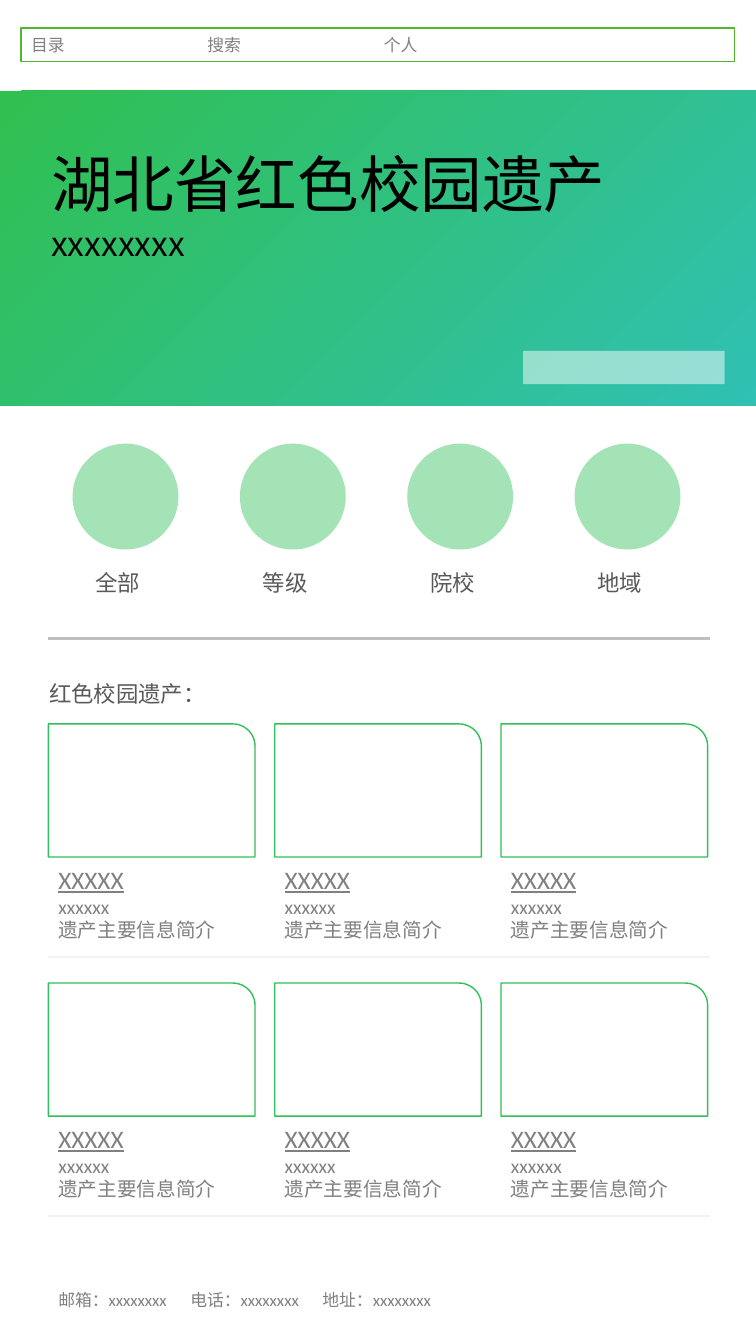
from lxml import etree
from pptx import Presentation
from pptx.dml.color import RGBColor
from pptx.enum.shapes import MSO_CONNECTOR, MSO_SHAPE
from pptx.enum.text import MSO_ANCHOR
from pptx.oxml.ns import qn
from pptx.util import Inches, Pt

RECTANGLE = MSO_SHAPE.RECTANGLE
OVAL = MSO_SHAPE.OVAL
CARD_SHAPE = MSO_SHAPE.ROUND_1_RECTANGLE
STRAIGHT = MSO_CONNECTOR.STRAIGHT
MIDDLE = MSO_ANCHOR.MIDDLE

BLACK = RGBColor(0x00, 0x00, 0x00)
WHITE = RGBColor(0xFF, 0xFF, 0xFF)
DARK_GRAY = RGBColor(0x59, 0x59, 0x59)
GRAY = RGBColor(0x80, 0x80, 0x80)
DIVIDER_GRAY = RGBColor(0xBF, 0xBF, 0xBF)
PALE_GRAY = RGBColor(0xF2, 0xF2, 0xF2)
GREEN = RGBColor(0x30, 0xC0, 0x59)
MENU_GREEN = RGBColor(0x50, 0xB8, 0x30)
BANNER_GREEN = RGBColor(0x30, 0xC0, 0x4F)
BANNER_TEAL = RGBColor(0x30, 0xC0, 0xB4)

FONT_JP = "Noto Sans CJK JP"
FONT_SC = "Noto Sans CJK SC"
FONT_LATIN = "Calibri"


def add_panel(slide, kind, left, top, width, height, fill=None, line=None, alpha=None):
    """Add a flat shape; alpha is the opacity of the fill in percent."""
    shape = slide.shapes.add_shape(
        kind, Inches(left), Inches(top), Inches(width), Inches(height))
    shape.shadow.inherit = False
    if fill is None:
        shape.fill.background()
    else:
        shape.fill.solid()
        shape.fill.fore_color.rgb = fill
    if alpha is not None:
        color = shape.fill._xPr.find(qn("a:solidFill"))[0]
        etree.SubElement(color, qn("a:alpha"), val=str(alpha * 1000))
    if line is None:
        shape.line.fill.background()
    else:
        shape.line.color.rgb = line
        shape.line.width = Pt(1)
    return shape


def set_font(font, name, size, color):
    font.name = name
    font.size = Pt(size)
    font.color.rgb = color
    if name != FONT_LATIN:
        etree.SubElement(font._element, qn("a:ea"), typeface=name)


def add_text(slide, left, top, width, height, text, font_name, size, color):
    """Add a one-paragraph text box and return its paragraph."""
    box = slide.shapes.add_textbox(
        Inches(left), Inches(top), Inches(width), Inches(height))
    frame = box.text_frame
    frame.word_wrap = True
    frame.vertical_anchor = MIDDLE
    paragraph = frame.paragraphs[0]
    paragraph.text = text
    set_font(paragraph.font, font_name, size, color)
    return paragraph


def add_tab_stops(paragraph, pitch, count):
    tabs = etree.Element(qn("a:tabLst"))
    for number in range(1, count + 1):
        etree.SubElement(tabs, qn("a:tab"), pos=str(Inches(pitch * number)), algn="l")
    paragraph.font._element.addprevious(tabs)


def add_rule(slide, left, top, width, color, weight):
    rule = slide.shapes.add_connector(
        STRAIGHT, Inches(left), Inches(top), Inches(left + width), Inches(top))
    rule.line.color.rgb = color
    rule.line.width = Pt(weight)
    etree.SubElement(rule.line._ln.getparent(), qn("a:effectLst"))


def add_menu(slide, left, top, width, height, items):
    add_panel(slide, RECTANGLE, left, top, width, height, line=MENU_GREEN)
    paragraph = add_text(
        slide, left, top, width, height, "\t".join(items), FONT_SC, 12, GRAY)
    add_tab_stops(paragraph, 1.75, len(items) - 1)


def add_banner(slide, left, top, width, height):
    background = add_panel(slide, RECTANGLE, left, top, width, height)
    background.fill.gradient()
    background.fill.gradient_angle = 315
    for stop, position, color in zip(
            background.fill.gradient_stops, (0, 1), (BANNER_GREEN, BANNER_TEAL)):
        stop.position = position
        stop.color.rgb = color
    add_text(slide, left + 0.41, top + 0.49, 6.3, 0.84,
             "湖北省红色校园遗产", FONT_JP, 44, BLACK)
    add_text(slide, left + 0.41, top + 1.26, 5.62, 0.5, "xxxxxxxx", FONT_JP, 24, BLACK)
    add_panel(slide, RECTANGLE, left + 5.19, top + 2.58, 2, 0.33, WHITE, alpha=50)


def add_categories(slide, left, top, labels):
    diameter, pitch = 1.05, 1.66
    for index, label in enumerate(labels):
        x = left + index * pitch
        add_panel(slide, OVAL, x, top, diameter, diameter, GREEN, alpha=44)
        add_text(slide, x + 0.13, top + 1.19, 0.78, 0.38, label, FONT_SC, 16, DARK_GRAY)


def add_card(slide, left, top, width):
    add_panel(slide, CARD_SHAPE, left, top, width, 1.32, WHITE, GREEN)
    title = add_text(slide, left, top + 1.34, width, 0.87, "XXXXX", FONT_LATIN, 18, GRAY)
    title.font.underline = True
    frame = title._parent
    for text in ("xxxxxx", "遗产主要信息简介"):
        paragraph = frame.add_paragraph()
        paragraph.text = text
        set_font(paragraph.font, FONT_LATIN, 14, GRAY)


def add_card_row(slide, left, top, width):
    card_width, count = 2.05, 3
    pitch = (width - 0.02 - card_width) / (count - 1)
    for column in range(count):
        add_card(slide, left + column * pitch, top, card_width)
    add_rule(slide, left, top + 2.31, width, PALE_GRAY, 1.25)


def add_heritage_list(slide, left, top, width):
    heading = add_text(slide, left - 0.09, top, 2.8, 0.37,
                       "红色校园遗产", FONT_JP, 16, DARK_GRAY)
    colon = heading.add_run()
    colon.text = "："
    colon.font.name = FONT_LATIN
    for row in range(2):
        add_card_row(slide, left, top + 0.49 + row * 2.57, width)


def add_footer(slide, left, top, width, height, labels):
    text = "\t".join(f"{label}：xxxxxxxx" for label in labels)
    paragraph = add_text(slide, left, top, width, height, text, FONT_LATIN, 12, GRAY)
    add_tab_stops(paragraph, 1.31, len(labels) - 1)


def main():
    presentation = Presentation()
    presentation.slide_width = Inches(7.5)
    presentation.slide_height = Inches(13.33)
    slide = presentation.slides.add_slide(presentation.slide_layouts[6])

    margin, content_width = 0.48, 6.56
    add_menu(slide, 0.21, 0.28, 7.08, 0.33, ("目录", "搜索", "个人"))
    add_banner(slide, 0, 0.9, 7.5, 3.12)
    add_categories(slide, 0.72, 4.4, ("全部", "等级", "院校", "地域"))
    add_rule(slide, margin, 6.33, content_width, DIVIDER_GRAY, 2)
    add_heritage_list(slide, margin, 6.69, content_width)
    add_footer(slide, margin, 12.74, content_width, 0.3, ("邮箱", "电话", "地址"))
    presentation.save("out.pptx")


if __name__ == "__main__":
    main()
